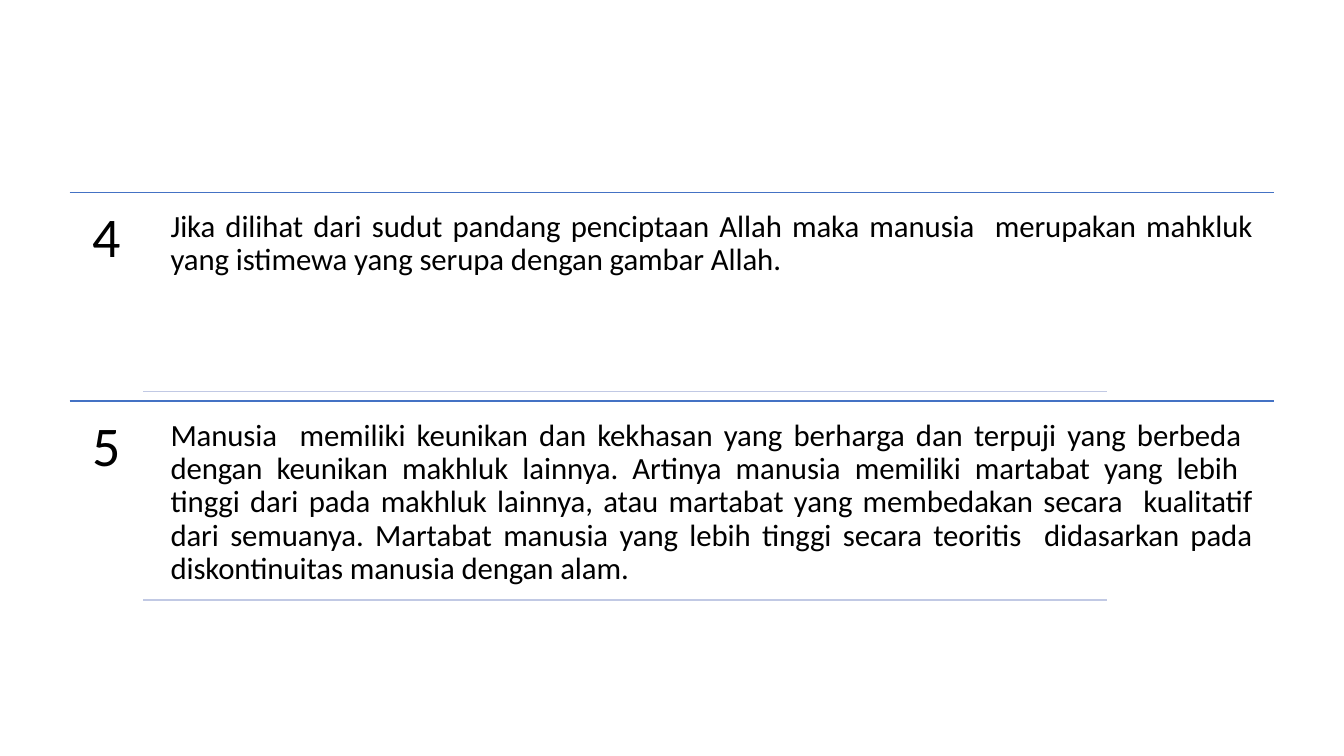
from lxml import etree
from pptx import Presentation
from pptx import util as u
from pptx.dml import color
from pptx.enum import shapes, text
from pptx.oxml import ns

BLACK, BLUE, PALE = "000000", "4472C4", "C1C9E4"
FIRST_TOP, ROW_STEP = 137.4, 149
ENTRIES = [
    ("4", "Jika dilihat dari sudut pandang penciptaan Allah maka manusia  merupakan "
          "mahkluk yang istimewa yang serupa dengan gambar Allah."),
    ("5", "Manusia  memiliki keunikan dan kekhasan yang berharga dan terpuji yang "
          "berbeda  dengan keunikan makhluk lainnya. Artinya manusia memiliki martabat "
          "yang lebih  tinggi dari pada makhluk lainnya, atau martabat yang membedakan "
          "secara  kualitatif dari semuanya. Martabat manusia yang lebih tinggi secara "
          "teoritis  didasarkan pada diskontinuitas manusia dengan alam."),
]


def rgb(value):
    return color.RGBColor.from_string(value)


def set_all(target, values):
    for name, value in values.items():
        setattr(target, name, value)


def add_rule(slide, left, right, top, line_color):
    line = slide.shapes.add_connector(
        shapes.MSO_CONNECTOR.STRAIGHT, u.Pt(left), u.Pt(top), u.Pt(right), u.Pt(top))
    line.line.color.rgb = rgb(line_color)
    line.line.width = u.Pt(1)
    etree.SubElement(line._element.spPr, ns.qn("a:effectLst"))


def fill_text(shape, wording, size, alignment, inset):
    frame = shape.text_frame
    margins = ("margin_left", "margin_top", "margin_right", "margin_bottom")
    set_all(frame, dict.fromkeys(margins, u.Pt(inset)))
    set_all(frame, {"word_wrap": True, "auto_size": text.MSO_AUTO_SIZE.NONE,
                    "vertical_anchor": text.MSO_ANCHOR.TOP})
    paragraph = frame.paragraphs[0]
    set_all(paragraph, {"alignment": alignment, "line_spacing": 0.9,
                        "space_before": u.Pt(0)})
    run = paragraph.add_run()
    run.text = wording
    set_all(run.font, {"name": "Calibri", "size": u.Pt(size)})
    run.font.color.rgb = rgb(BLACK)
    return paragraph, run


def add_number(slide, number, top):
    box = slide.shapes.add_textbox(u.Pt(49.7), u.Pt(top), u.Pt(52.6), u.Pt(149))
    fill_text(box, number, 40, text.PP_ALIGN.CENTER, 12)


def place_passage(placeholder, passage, top):
    set_all(placeholder, {"left": u.Pt(115.2), "top": u.Pt(top),
                          "width": u.Pt(786.2), "height": u.Pt(135.4)})
    paragraph, run = fill_text(placeholder, passage, 22, text.PP_ALIGN.JUSTIFY, 6.6)
    # No bullet or hanging indent, slightly tightened letters
    properties = paragraph._p.get_or_add_pPr()
    properties.set("marL", "0")
    properties.set("indent", "0")
    etree.SubElement(properties, ns.qn("a:buNone"))
    run._r.get_or_add_rPr().set("spc", "-5")


def main():
    presentation = Presentation()
    set_all(presentation, {"slide_width": u.Pt(960), "slide_height": u.Pt(540)})

    # Two Content layout: one body placeholder for each passage
    slide = presentation.slides.add_slide(presentation.slide_layouts[3])
    title = slide.shapes.title._element
    title.getparent().remove(title)
    bodies = list(slide.placeholders)

    # Numbered rows between a blue rule and a pale rule
    for index, (number, passage) in enumerate(ENTRIES):
        top = FIRST_TOP + index * ROW_STEP
        add_rule(slide, 49.7, 910.1, top, BLUE)
        add_number(slide, number, top)
        place_passage(bodies[index], passage, top + 6.8)
        add_rule(slide, 102.2, 790.6, top + 142.2, PALE)

    presentation.save("out.pptx")


if __name__ == "__main__":
    main()
